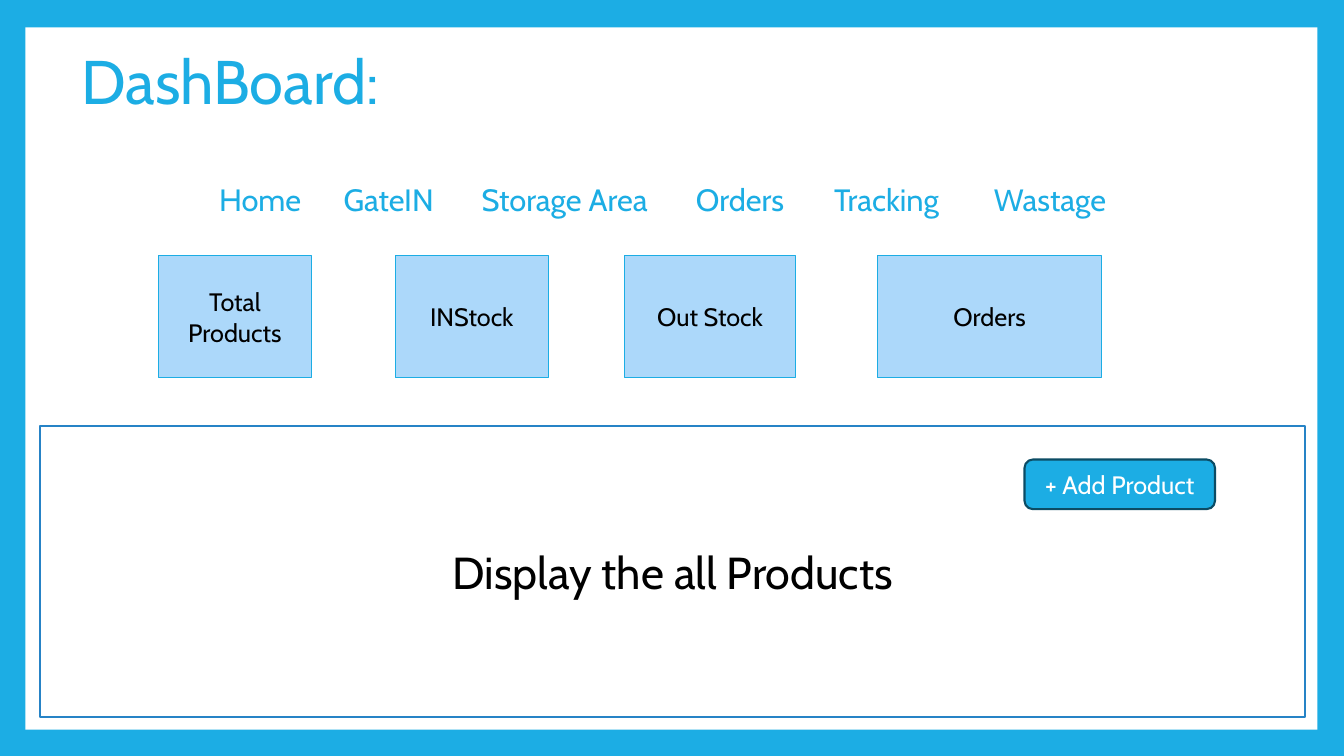
from dataclasses import dataclass

from lxml import etree
from pptx import Presentation
from pptx import util as u
from pptx.dml.color import RGBColor
from pptx.enum import shapes, text
from pptx.oxml import ns

Cm, Pt = u.Cm, u.Pt


@dataclass(frozen=True)
class Theme:
    font: str = "Cabin"
    accent: str = "1CADE4"
    card: str = "ACD8FA"
    outline: str = "2683C6"
    button_edge: str = "0C4C64"
    paper: str = "FFFFFF"
    ink: str = "000000"
    title_size: int = 44
    display_size: int = 32
    nav_size: int = 22
    label_size: int = 18


THEME = Theme()


def place(part, box):
    for side, length in zip(("left", "top", "width", "height"), box):
        setattr(part, side, Cm(length))


def write(part, words, size, color, align=text.PP_ALIGN.CENTER, **frame_format):
    frame = part.text_frame
    frame_format = {"word_wrap": True, "vertical_anchor": text.MSO_ANCHOR.MIDDLE,
                    **frame_format}
    for name, value in frame_format.items():
        setattr(frame, name, value)
    paragraph = frame.paragraphs[0]
    paragraph.alignment = align
    run = paragraph.add_run()
    run.text = words
    for name, value in {"name": THEME.font, "size": Pt(size), "bold": False}.items():
        setattr(run.font, name, value)
    run.font.color.rgb = RGBColor.from_string(color)
    return paragraph


def add_block(slide, box, fill, line=None, weight=1.5,
              kind=shapes.MSO_SHAPE.RECTANGLE):
    block = slide.shapes.add_shape(kind, *map(Cm, box))
    block.shadow.inherit = False
    block.fill.solid()
    block.fill.fore_color.rgb = RGBColor.from_string(fill)
    if line:
        block.line.color.rgb = RGBColor.from_string(line)
        block.line.width = Pt(weight)
    else:
        block.line.fill.background()
    return block


def add_frame(slide, box):
    """Coloured surround with a white page, behind everything else."""
    background = slide.background.fill
    background.solid()
    background.fore_color.rgb = RGBColor.from_string(THEME.accent)
    page = add_block(slide, box, THEME.paper)
    slide.shapes.title.element.addprevious(page.element)


def add_title(slide, box, words):
    title = slide.shapes.title
    place(title, box)
    paragraph = write(title, words, THEME.title_size, THEME.accent,
                      text.PP_ALIGN.LEFT, auto_size=text.MSO_AUTO_SIZE.NONE)
    paragraph.line_spacing = 0.9


def add_navigation(slide, box, entries):
    """One line of menu entries, each set on its own tab stop."""
    menu = slide.shapes.add_textbox(*map(Cm, box))
    paragraph = write(menu, "\t".join(entries), THEME.nav_size, THEME.accent,
                      text.PP_ALIGN.LEFT, margin_left=0, margin_right=0)
    paragraph.line_spacing = 0.9
    stops = etree.SubElement(paragraph._p.get_or_add_pPr(), ns.qn("a:tabLst"))
    for offset in list(entries.values())[1:]:
        etree.SubElement(stops, ns.qn("a:tab"), pos=str(Cm(offset)), algn="l")


def add_cards(slide, box, cards):
    left, top, _, height = box
    for label, offset, width in cards:
        card = add_block(slide, (left + offset, top, width, height),
                         THEME.card, THEME.accent, 0.79)
        write(card, label, THEME.label_size, THEME.ink)


def add_product_area(slide, box):
    left, top, width, _ = box
    area = add_block(slide, box, THEME.paper, THEME.outline)
    write(area, "Display the all Products", THEME.display_size, THEME.ink)
    button_box = (left + width - 7.08, top + 0.84, 4.8, 1.25)
    button = add_block(slide, button_box, THEME.accent, THEME.button_edge,
                       kind=shapes.MSO_SHAPE.ROUNDED_RECTANGLE)
    write(button, "+ Add Product", THEME.label_size, THEME.paper)


def build_dashboard(presentation):
    slide = presentation.slides.add_slide(presentation.slide_layouts[5])
    add_frame(slide, (0.64, 0.69, 32.56, 17.7))
    add_title(slide, (1.8, 1.09, 28.8, 2.06), "DashBoard:")

    # Menu entries with their distance from the left end of the menu
    add_navigation(slide, (5.52, 4.5, 25, 1.15), {
        "Home": 0, "GateIN": 3.14, "Storage Area": 6.62,
        "Orders": 12.02, "Tracking": 15.5, "Wastage": 19.53})

    # Stock figures: label, distance from the left, width
    add_cards(slide, (3.99, 6.45, 23.77, 3.07), (
        ("Total Products", 0, 3.86), ("INStock", 5.97, 3.86),
        ("Out Stock", 11.76, 4.29), ("Orders", 18.13, 5.64)))

    add_product_area(slide, (1.02, 10.74, 31.88, 7.32))


def main():
    presentation = Presentation()
    presentation.slide_width = Cm(33.87)
    presentation.slide_height = Cm(19.05)
    build_dashboard(presentation)
    presentation.save("out.pptx")


if __name__ == "__main__":
    main()
